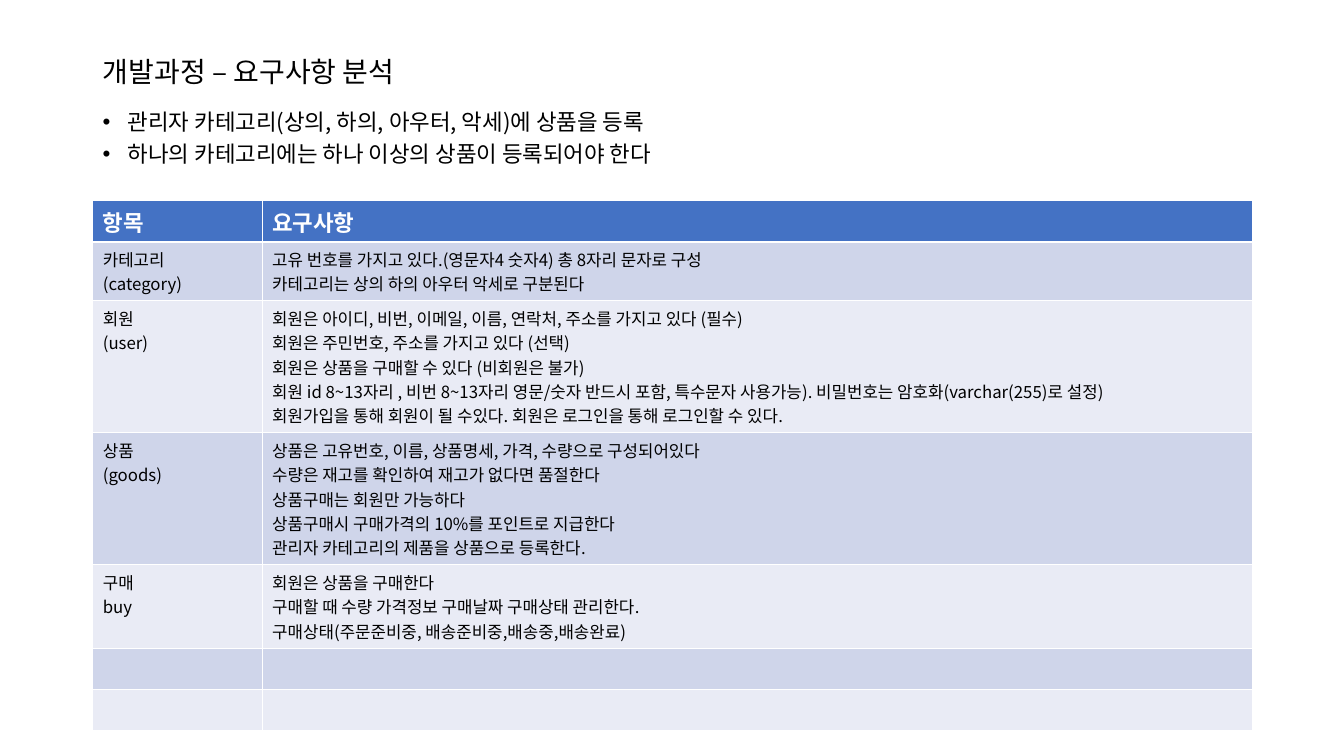
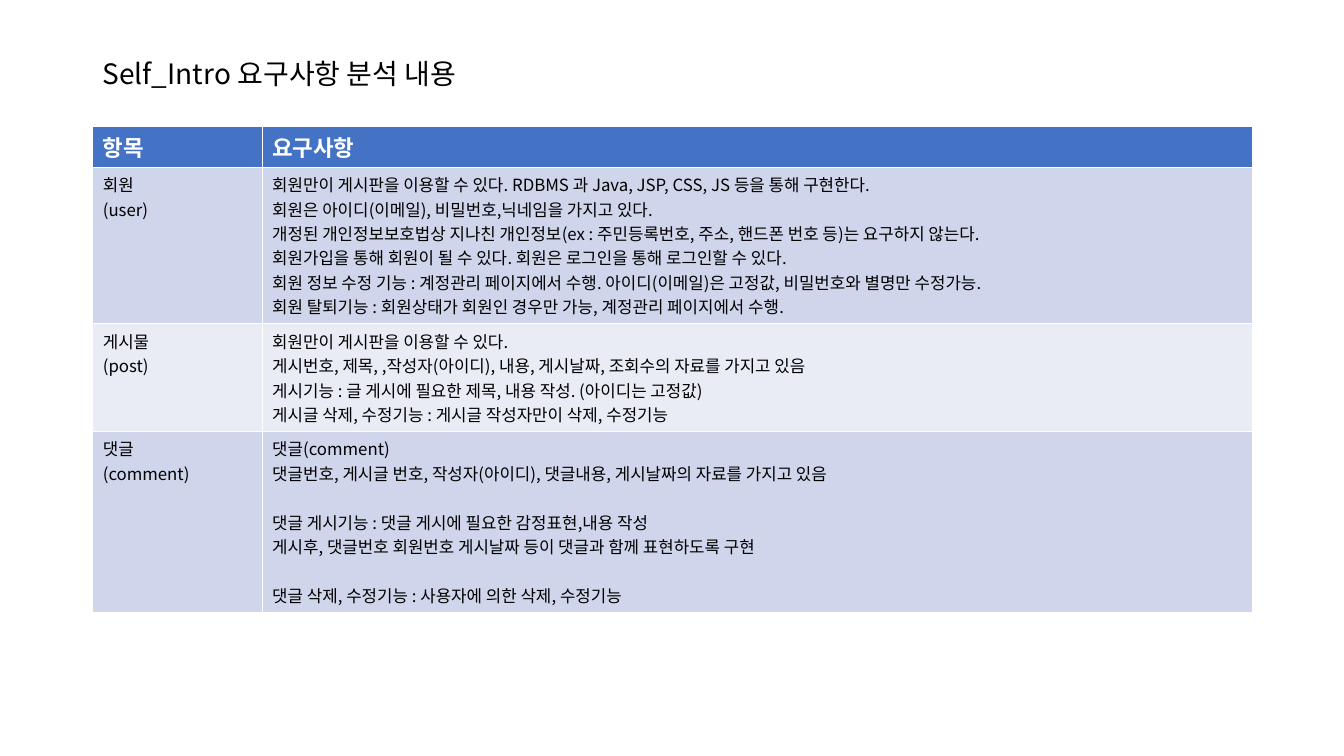
from pptx import Presentation
from pptx.dml.color import RGBColor
from pptx.enum.text import MSO_ANCHOR
from pptx.oxml.ns import qn
from pptx.util import Inches, Pt
from lxml.etree import SubElement

FONT = "Noto Sans CJK KR"
INK, WHITE, BLUE = "000000", "FFFFFF", "4472C4"
BANDS = ["CFD5EA", "E9EBF5"]
WIDE, HIGH = 13.33, 7.5
LEFT, WIDTH = 0.92, 11.5
COLS = [1.68, 9.82]
ROW, LINE, PAD = 0.41, 0.242, 0.1
HEAD = ("항목", "요구사항")

SLIDES = [
    {
        "title": "개발과정 – 요구사항 분석",
        "box": (0.4, 0.65),
        "points": [
            "관리자 카테고리(상의, 하의, 아우터, 악세)에 상품을 등록",
            "하나의 카테고리에는 하나 이상의 상품이 등록되어야 한다",
        ],
        "top": 1.99,
        "rows": [
            ("카테고리\n(category)",
             "고유 번호를 가지고 있다.(영문자4 숫자4) 총 8자리 문자로 구성\n"
             "카테고리는 상의 하의 아우터 악세로 구분된다"),
            ("회원\n(user)",
             "회원은 아이디, 비번, 이메일, 이름, 연락처, 주소를 가지고 있다 (필수)\n"
             "회원은 주민번호, 주소를 가지고 있다 (선택)\n"
             "회원은 상품을 구매할 수 있다 (비회원은 불가)\n"
             "회원 id 8~13자리 , 비번 8~13자리 영문/숫자 반드시 포함, 특수문자 사용가능). "
             "비밀번호는 암호화(varchar(255)로 설정)\n"
             "회원가입을 통해 회원이 될 수있다. 회원은 로그인을 통해 로그인할 수 있다."),
            ("상품\n(goods)",
             "상품은 고유번호, 이름, 상품명세, 가격, 수량으로 구성되어있다\n"
             "수량은 재고를 확인하여 재고가 없다면 품절한다\n"
             "상품구매는 회원만 가능하다\n"
             "상품구매시 구매가격의 10%를 포인트로 지급한다\n"
             "관리자 카테고리의 제품을 상품으로 등록한다."),
            ("구매\nbuy",
             "회원은 상품을 구매한다\n"
             "구매할 때 수량 가격정보 구매날짜 구매상태 관리한다.\n"
             "구매상태(주문준비중, 배송준비중,배송중,배송완료)"),
            ("", ""),
            ("", ""),
        ],
    },
    {
        "title": "Self_Intro 요구사항 분석 내용",
        "box": (0.4, 0.69),
        "points": [],
        "top": 1.25,
        "rows": [
            ("회원\n(user)",
             "회원만이 게시판을 이용할 수 있다. RDBMS 과 Java, JSP, CSS, JS 등을 통해 구현한다.\n"
             "회원은 아이디(이메일), 비밀번호,닉네임을 가지고 있다.\n"
             "개정된 개인정보보호법상 지나친 개인정보(ex : 주민등록번호, 주소, 핸드폰 번호 등)는 "
             "요구하지 않는다.\n"
             "회원가입을 통해 회원이 될 수 있다. 회원은 로그인을 통해 로그인할 수 있다.\n"
             "회원 정보 수정 기능 : 계정관리 페이지에서 수행. 아이디(이메일)은 고정값, "
             "비밀번호와 별명만 수정가능.\n"
             "회원 탈퇴기능 : 회원상태가 회원인 경우만 가능, 계정관리 페이지에서 수행."),
            ("게시물\n(post)",
             "회원만이 게시판을 이용할 수 있다.\n"
             "게시번호, 제목, ,작성자(아이디), 내용, 게시날짜, 조회수의 자료를 가지고 있음\n"
             "게시기능 : 글 게시에 필요한 제목, 내용 작성. (아이디는 고정값)\n"
             "게시글 삭제, 수정기능 : 게시글 작성자만이 삭제, 수정기능"),
            ("댓글\n(comment)",
             "댓글(comment)\n"
             "댓글번호, 게시글 번호, 작성자(아이디), 댓글내용, 게시날짜의 자료를 가지고 있음\n\n"
             "댓글 게시기능 : 댓글 게시에 필요한 감정표현,내용 작성\n"
             "게시후, 댓글번호 회원번호 게시날짜 등이 댓글과 함께 표현하도록 구현\n\n"
             "댓글 삭제, 수정기능 : 사용자에 의한 삭제, 수정기능"),
        ],
    },
]


def color(code):
    return RGBColor.from_string(code)


def style(para, size, ink=INK, bold=False):
    for run in para.runs:
        font = run.font
        font.name, font.size, font.bold = FONT, Pt(size), bold
        font.color.rgb = color(ink)
        SubElement(font._element, qn("a:ea")).set("typeface", FONT)


def write(frame, text, size, ink=INK, bold=False):
    groups = text.split("\n\n")
    frame.text = "\n".join(groups)
    starts, count = set(), 0
    for group in groups[:-1]:
        count += len(group.split("\n"))
        starts.add(count)
    for i, para in enumerate(frame.paragraphs):
        if i in starts:
            para.space_before = Pt(LINE * 72)
        style(para, size, ink, bold)


def add_text(slide, text, size, top, high):
    box = slide.shapes.add_textbox(Inches(LEFT), Inches(top), Inches(WIDTH), Inches(high))
    frame = box.text_frame
    frame.word_wrap = True
    write(frame, text, size)
    for para in frame.paragraphs:
        para.line_spacing = 0.9
    return frame


def add_points(slide, points, top, high):
    frame = add_text(slide, "\n".join(points), 16, top, high)
    for i, para in enumerate(frame.paragraphs):
        para.space_before = Pt(6 if i else 0)
        props = para._p.get_or_add_pPr()
        props.set("marL", str(Inches(0.25)))
        props.set("indent", str(-Inches(0.25)))
        SubElement(props, qn("a:buFont")).set("typeface", "Arial")
        SubElement(props, qn("a:buChar")).set("char", "•")


def add_grid(slide, rows, top):
    highs = [ROW] + [max(ROW, PAD + LINE * len(row[1].split("\n"))) for row in rows]
    grid = slide.shapes.add_table(len(highs), len(COLS), Inches(LEFT), Inches(top),
                                  Inches(WIDTH), Inches(sum(highs))).table
    for col, wide in zip(grid.columns, COLS):
        col.width = Inches(wide)
    for r, (row, high) in enumerate(zip([HEAD] + rows, highs)):
        grid.rows[r].height = Inches(high)
        for c, text in enumerate(row):
            cell = grid.cell(r, c)
            cell.fill.solid()
            cell.fill.fore_color.rgb = color(BANDS[(r - 1) % 2] if r else BLUE)
            if r == 0:
                write(cell.text_frame, text, 16, WHITE, True)
            elif text:
                write(cell.text_frame, text, 12)


deck = Presentation()
deck.slide_width, deck.slide_height = Inches(WIDE), Inches(HIGH)
for page in SLIDES:
    slide = deck.slides.add_slide(deck.slide_layouts[6])
    top, high = page["box"]
    title = add_text(slide, page["title"], 20, top, high)
    title.vertical_anchor = MSO_ANCHOR.MIDDLE
    if page["points"]:
        add_points(slide, page["points"], top + high, 0.74)
    add_grid(slide, page["rows"], page["top"])
deck.save("out.pptx")
